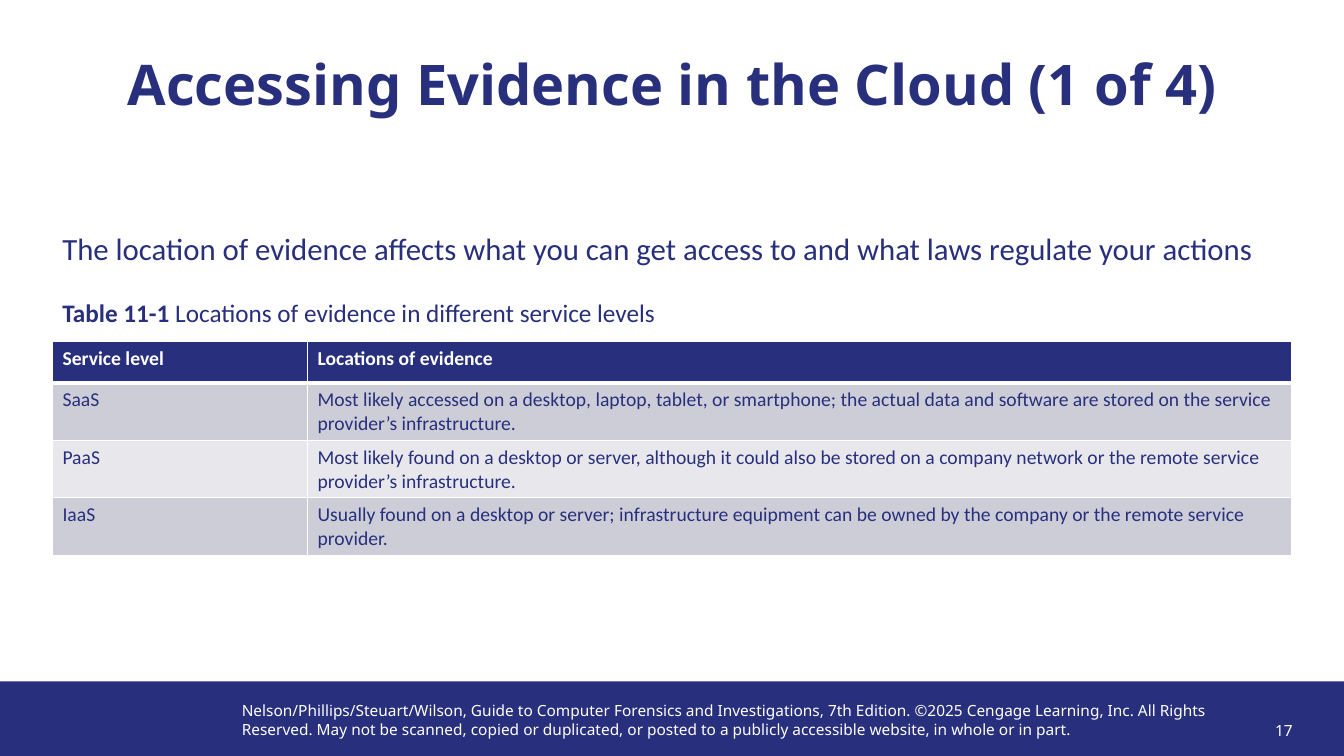
"""Build the slide on accessing evidence in the cloud."""
from lxml import etree
from pptx import Presentation
from pptx.dml.color import RGBColor
from pptx.enum.shapes import MSO_SHAPE
from pptx.enum.text import MSO_ANCHOR, PP_ALIGN
from pptx.oxml.ns import qn
from pptx.util import Inches, Pt

TOP, MIDDLE = MSO_ANCHOR.TOP, MSO_ANCHOR.MIDDLE
LEFT, CENTER, RIGHT = PP_ALIGN.LEFT, PP_ALIGN.CENTER, PP_ALIGN.RIGHT
RECT = MSO_SHAPE.RECTANGLE

COLORS = {"navy": "282F7C", "white": "FFFFFF", "dark_band": "CDCDD7", "light_band": "E8E8EC"}
HEAD_FONT, BODY_FONT = "Noto Sans", "Calibri"

TITLE = "Accessing Evidence in the Cloud (1 of 4)"
INTRO = "The location of evidence affects what you can get access to and what laws regulate your actions"
CAPTION = ("Table 11-1 ", "Locations of evidence in different service levels")
ROWS = [
    ("Service level", "Locations of evidence"),
    ("SaaS", "Most likely accessed on a desktop, laptop, tablet, or smartphone; the actual data and "
             "software are stored on the service provider’s infrastructure."),
    ("PaaS", "Most likely found on a desktop or server, although it could also be stored on a company "
             "network or the remote service provider’s infrastructure."),
    ("IaaS", "Usually found on a desktop or server; infrastructure equipment can be owned by the "
             "company or the remote service provider."),
]
COL_WIDTHS = (2.53, 9.76)
HEADER_H, BODY_H = 0.41, 0.57
FOOTER = ("Nelson/Phillips/Steuart/Wilson, Guide to Computer Forensics and Investigations, 7th Edition. "
          "©2025 Cengage Learning, Inc. All Rights Reserved. May not be scanned, copied or duplicated, "
          "or posted to a publicly accessible website, in whole or in part.")
PAGE = "17"
MARGIN = 0.52


def rgb(name):
    """Return the named palette colour."""
    return RGBColor.from_string(COLORS[name])


def add_text(p, text, size=14, font=BODY_FONT, color="navy", bold=False, align=LEFT):
    """Add one formatted run to a paragraph."""
    p.alignment = align
    r = p.add_run()
    r.text = text
    r.font.size, r.font.name, r.font.bold = Pt(size), font, bold
    r.font.color.rgb = rgb(color)


def add_box(s, left, top, width, height, wrap=True, anchor=TOP):
    """Add a text box and return its text frame."""
    tf = s.shapes.add_textbox(Inches(left), Inches(top), Inches(width), Inches(height)).text_frame
    tf.word_wrap, tf.vertical_anchor = wrap, anchor
    return tf


def set_borders(cell, top, bottom):
    """Draw white cell borders with the given top and bottom widths."""
    tc_pr = cell._tc.get_or_add_tcPr()
    for i, (tag, width) in enumerate((("a:lnL", 1), ("a:lnR", 1), ("a:lnT", top), ("a:lnB", bottom))):
        ln = etree.Element(qn(tag), w=str(Pt(width)))
        fill = etree.SubElement(ln, qn("a:solidFill"))
        etree.SubElement(fill, qn("a:srgbClr"), val=COLORS["white"])
        tc_pr.insert(i, ln)


def add_footer(s):
    """Add the footer band, copyright line and page number."""
    band = s.shapes.add_shape(RECT, 0, Inches(6.76), Inches(13.33), Inches(0.74))
    band.shadow.inherit = False
    band.fill.solid()
    band.fill.fore_color.rgb = rgb("navy")
    band.line.fill.background()
    tf = add_box(s, 2.3, 6.91, 9.8, 0.47)
    add_text(tf.paragraphs[0], FOOTER, size=11, font=HEAD_FONT, color="white")
    tf = add_box(s, 12.12, 7.05, 0.8, 0.4, anchor=MIDDLE)
    add_text(tf.paragraphs[0], PAGE, size=11, font=HEAD_FONT, color="white", align=RIGHT)


def add_title(s):
    """Place and format the title placeholder."""
    title = s.shapes.title
    title.left, title.top = Inches(MARGIN), Inches(0.52)
    title.width, title.height = Inches(12.29), Inches(1.33)
    tf = title.text_frame
    tf.word_wrap, tf.vertical_anchor = True, TOP
    p = tf.paragraphs[0]
    p.line_spacing = 0.9
    add_text(p, TITLE, size=40, font=HEAD_FONT, bold=True, align=CENTER)


def add_intro(s):
    """Add the lead sentence and the table caption."""
    tf = add_box(s, MARGIN, 2.23, 12.15, 1.08, wrap=False)
    add_text(tf.paragraphs[0], INTRO, size=22)
    p = tf.add_paragraph()
    p.space_before = Pt(22)
    label, caption = CAPTION
    add_text(p, label, size=18, bold=True)
    add_text(p, caption, size=18)


def add_evidence_table(s):
    """Add the banded table of service levels."""
    heights = [HEADER_H] + [BODY_H] * (len(ROWS) - 1)
    table = s.shapes.add_table(len(ROWS), len(COL_WIDTHS), Inches(MARGIN), Inches(3.39),
                               Inches(sum(COL_WIDTHS)), Inches(sum(heights))).table
    for col, width in zip(table.columns, COL_WIDTHS):
        col.width = Inches(width)
    for i, (texts, height) in enumerate(zip(ROWS, heights)):
        table.rows[i].height = Inches(height)
        header = i == 0
        band = "navy" if header else "dark_band" if i % 2 else "light_band"
        for j, text in enumerate(texts):
            cell = table.cell(i, j)
            cell.fill.solid()
            cell.fill.fore_color.rgb = rgb(band)
            set_borders(cell, top=3 if i == 1 else 1, bottom=3 if header else 1)
            add_text(cell.text_frame.paragraphs[0], text, bold=header,
                     color="white" if header else "navy")


def main():
    """Build and save the presentation."""
    prs = Presentation()
    prs.slide_width, prs.slide_height = Inches(13.33), Inches(7.5)
    s = prs.slides.add_slide(prs.slide_layouts[5])
    add_footer(s)
    add_title(s)
    add_intro(s)
    add_evidence_table(s)
    prs.save("out.pptx")


if __name__ == "__main__":
    main()
